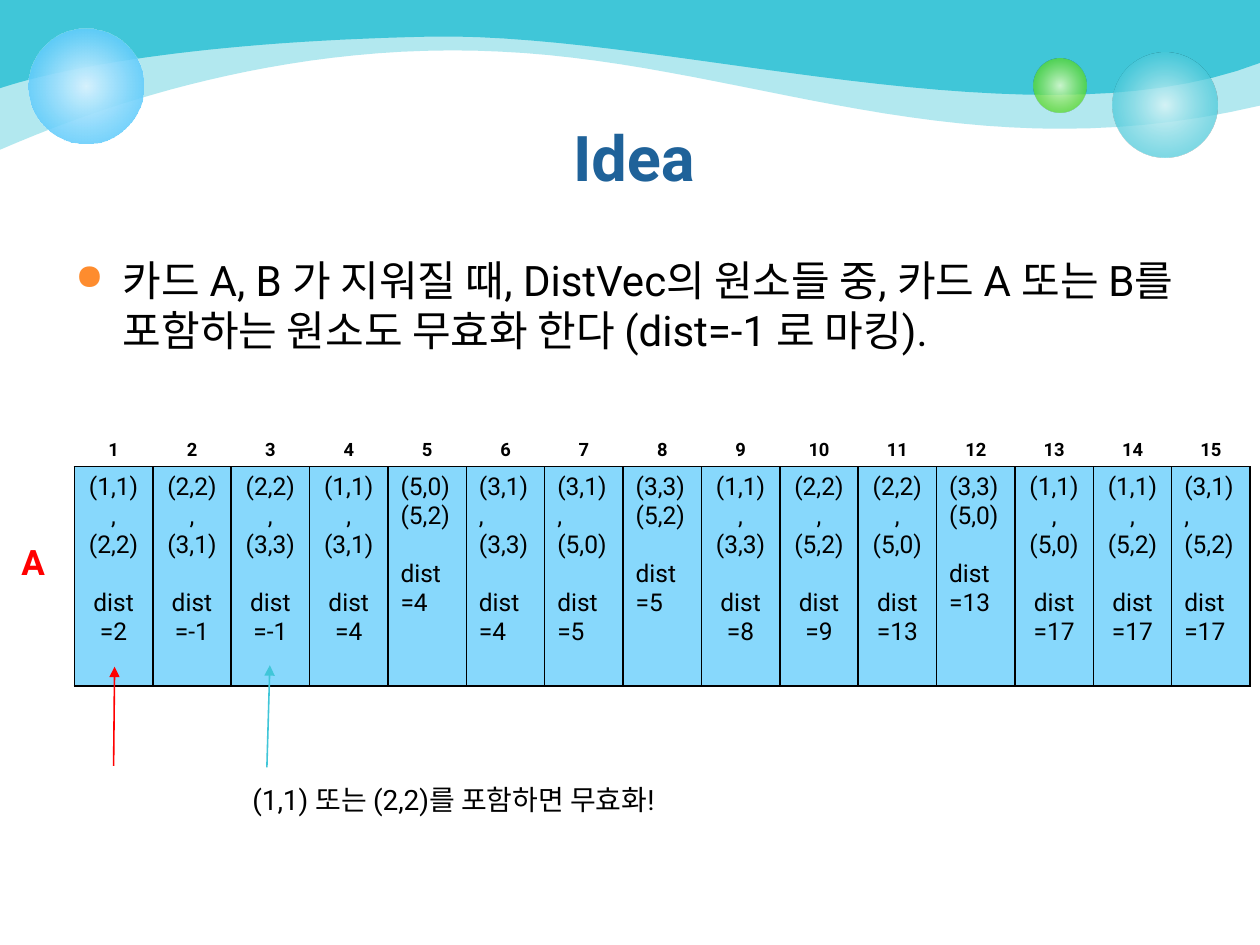
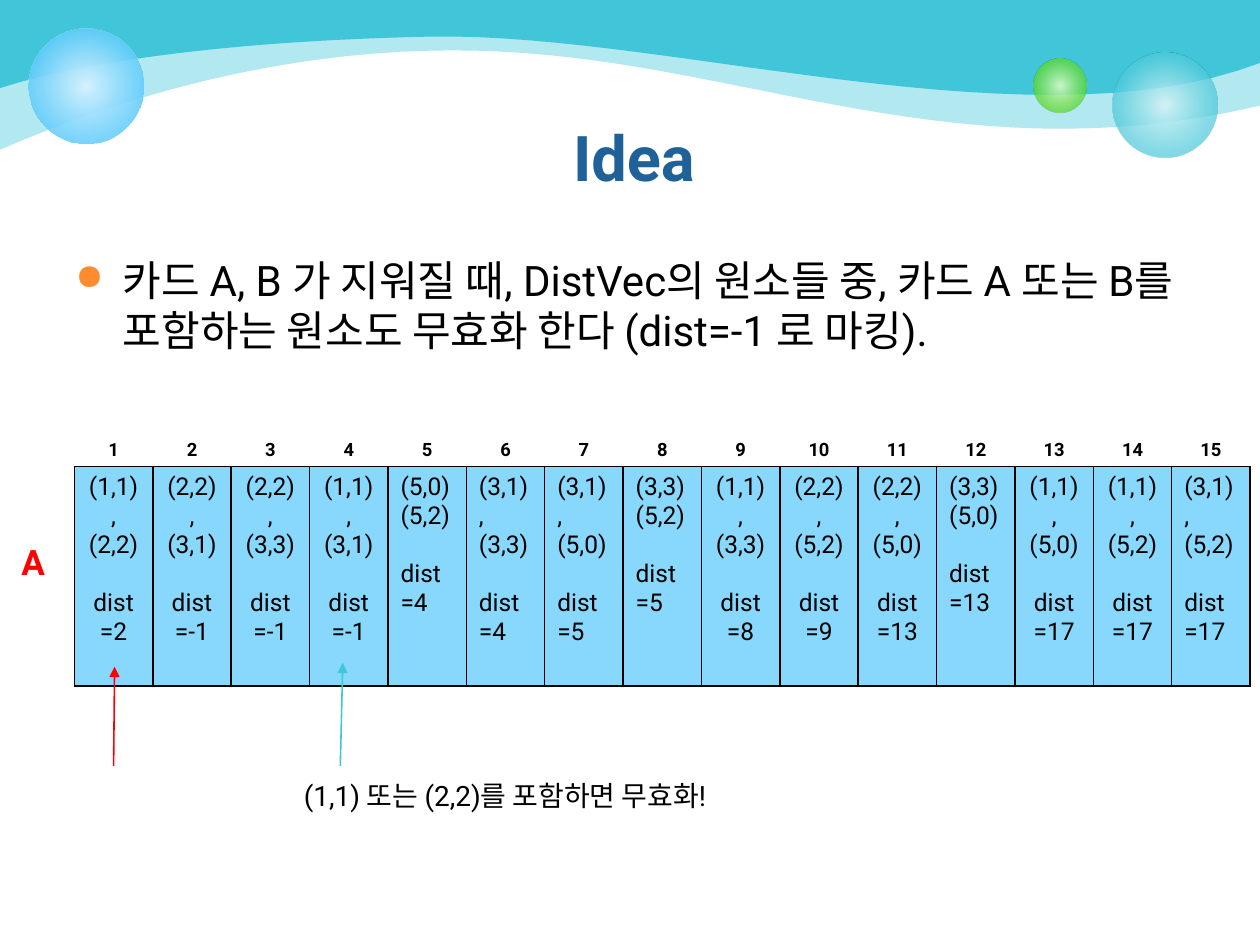
from lxml import etree
from pptx import Presentation
from pptx.dml.color import RGBColor
from pptx.enum.shapes import MSO_CONNECTOR, MSO_SHAPE
from pptx.enum.text import MSO_ANCHOR, PP_ALIGN
from pptx.oxml import parse_xml
from pptx.oxml.ns import nsdecls, qn
from pptx.util import Cm, Pt

STRAIGHT = MSO_CONNECTOR.STRAIGHT
OVAL = MSO_SHAPE.OVAL
BOTTOM = MSO_ANCHOR.BOTTOM
LEFT, CENTER = PP_ALIGN.LEFT, PP_ALIGN.CENTER

FONT = "Roboto"
WHITE = RGBColor(0xFF, 0xFF, 0xFF)
BLACK = RGBColor(0, 0, 0)
RED = RGBColor(0xFF, 0, 0)
NAVY = RGBColor(0x1F, 0x62, 0x99)
ORANGE = RGBColor(0xFE, 0x8C, 0x2E)
TEAL = RGBColor(0x40, 0xC6, 0xD8)
PALE_TEAL = RGBColor(0xD9, 0xF4, 0xF7)
GREEN = RGBColor(0x4C, 0xD4, 0x16)
PALE_GREEN = RGBColor(0xDA, 0xFA, 0xCD)
SKY = RGBColor(0x33, 0xBD, 0xFB)
PALE_SKY = RGBColor(0xD6, 0xF2, 0xFE)

BACK_WAVE = [(0, 3.02), (0.84, 2.67), (5, 0.79), (10.06, 1.04),
             (15.11, 1.27), (19.35, 3.56), (25.4, 2.13)]
FRONT_WAVE = [(0, 1.78), (1.14, 1.4), (3.89, 0.84), (8.66, 0.74),
              (13.44, 0.64), (20.83, 3.02), (25.4, 1.27)]
CURVE_STEPS = 30

RULE = ("카드 A, B 가 지워질 때, DistVec의 원소들 중, 카드 A 또는 B를 "
        "포함하는 원소도 무효화 한다 (dist=-1 로 마킹).")
CAPTION = "(1,1) 또는 (2,2)를 포함하면 무효화!"
CARD_PAIRS = [
    ("(1,1),", "(2,2)", 2), ("(2,2),", "(3,1)", -1), ("(2,2),", "(3,3)", -1),
    ("(1,1),", "(3,1)", 4), ("(5,0)", "(5,2)", 4), ("(3,1),", "(3,3)", 4),
    ("(3,1),", "(5,0)", 5), ("(3,3)", "(5,2)", 5), ("(1,1),", "(3,3)", 8),
    ("(2,2),", "(5,2)", 9), ("(2,2),", "(5,0)", 13), ("(3,3)", "(5,0)", 13),
    ("(1,1),", "(5,0)", 17), ("(1,1),", "(5,2)", 17), ("(3,1),", "(5,2)", 17),
]
REMOVED_CARDS = ("(1,1)", "(2,2)")
COLUMN_WIDTH, HEADER_HEIGHT, BODY_HEIGHT = 1.58, 0.7, 4.42


def write_text(text_frame, text, size=14, color=BLACK, bold=False,
               align=LEFT, before=0):
    paragraph = text_frame.paragraphs[-1]
    if paragraph.runs:
        paragraph = text_frame.add_paragraph()
    paragraph.alignment = align
    paragraph.space_before = Pt(before)
    run = paragraph.add_run()
    run.text = text
    font = run.font
    font.name, font.size, font.bold = FONT, Pt(size), bold
    font.color.rgb = color
    return paragraph


def add_text(slide, box, text, **text_format):
    shape = slide.shapes.add_textbox(*map(Cm, box))
    shape.text_frame.word_wrap = True
    return write_text(shape.text_frame, text, **text_format)


def add_bullet(paragraph, indent):
    properties = paragraph._p.get_or_add_pPr()
    properties.set("marL", str(Cm(indent)))
    properties.set("indent", str(-Cm(indent)))
    color = etree.SubElement(properties, qn("a:buClr"))
    etree.SubElement(color, qn("a:srgbClr"), val=str(ORANGE))
    etree.SubElement(properties, qn("a:buSzPct"), val="85000")
    etree.SubElement(properties, qn("a:buChar"), char="●")


def set_opacity(properties, percent):
    color = properties.find(f"{qn('a:solidFill')}/{qn('a:srgbClr')}")
    etree.SubElement(color, qn("a:alpha"), val=str(percent * 1000))


def curve_points(anchors):
    points = [anchors[0]]
    for start in range(0, len(anchors) - 1, 3):
        corners = anchors[start:start + 4]
        for step in range(1, CURVE_STEPS + 1):
            t = step / CURVE_STEPS
            weights = ((1 - t) ** 3, 3 * t * (1 - t) ** 2, 3 * t * t * (1 - t), t ** 3)
            points.append(tuple(sum(weight * corner[axis] for weight, corner
                                    in zip(weights, corners)) for axis in (0, 1)))
    return points


def add_wave(slide, anchors, opacity=100):
    builder = slide.shapes.build_freeform(0, 0)
    outline = curve_points(anchors) + [(25.4, 0)]
    builder.add_line_segments([(Cm(x), Cm(y)) for x, y in outline], close=True)
    shape = builder.convert_to_shape()
    shape.shadow.inherit = False
    shape.fill.solid()
    shape.fill.fore_color.rgb = TEAL
    set_opacity(shape._element.spPr, opacity)
    shape.line.fill.background()


def add_bubble(slide, left, top, diameter, *stops):
    shape = slide.shapes.add_shape(OVAL, Cm(left), Cm(top), Cm(diameter), Cm(diameter))
    shape.shadow.inherit = False
    shape.line.fill.background()
    shape.fill.background()
    stop_xml = "".join(
        f'<a:gs pos="{position * 1000}"><a:srgbClr val="{color}">'
        f'<a:alpha val="{opacity * 1000}"/></a:srgbClr></a:gs>'
        for position, color, opacity in stops)
    gradient = parse_xml(
        f'<a:gradFill {nsdecls("a")} rotWithShape="1"><a:gsLst>{stop_xml}</a:gsLst>'
        '<a:path path="circle"><a:fillToRect l="50000" t="50000" r="50000" b="50000"/>'
        '</a:path></a:gradFill>')
    properties = shape._element.spPr
    properties.replace(properties.find(qn("a:noFill")), gradient)


def add_arrow(slide, start, end, color):
    connector = slide.shapes.add_connector(STRAIGHT, *map(Cm, (*start, *end)))
    connector.line.color.rgb = color
    connector.line.width = Pt(0.9)
    etree.SubElement(connector.line._get_or_add_ln(), qn("a:tailEnd"), type="triangle")
    etree.SubElement(connector._element.spPr, qn("a:effectLst"))


def format_cell(cell, fill, side_color, opacity=100):
    properties = cell._tc.get_or_add_tcPr()
    borders = {"lnL": side_color, "lnR": side_color, "lnT": side_color, "lnB": BLACK}
    for side, color in borders.items():
        line = etree.SubElement(properties, qn(f"a:{side}"), w=str(Pt(1)))
        solid = etree.SubElement(line, qn("a:solidFill"))
        etree.SubElement(solid, qn("a:srgbClr"), val=str(color))
    cell.fill.solid()
    cell.fill.fore_color.rgb = fill
    set_opacity(properties, opacity)


def add_distance_table(slide, last_invalid):
    count = len(CARD_PAIRS)
    frame = slide.shapes.add_table(2, count, Cm(1.5), Cm(8.71), Cm(count * COLUMN_WIDTH),
                                   Cm(HEADER_HEIGHT + BODY_HEIGHT))
    table = frame.table
    table.first_row = table.horz_banding = False
    table.rows[0].height, table.rows[1].height = Cm(HEADER_HEIGHT), Cm(BODY_HEIGHT)
    for index, (first, second, distance) in enumerate(CARD_PAIRS):
        number = index + 1
        table.columns[index].width = Cm(COLUMN_WIDTH)
        header, body = table.cell(0, index), table.cell(1, index)
        format_cell(header, WHITE, WHITE)
        header.vertical_anchor = BOTTOM
        write_text(header.text_frame, str(number), size=10.5, bold=True, align=CENTER)
        format_cell(body, SKY, BLACK, 59)
        align = CENTER if first.startswith(REMOVED_CARDS) else LEFT
        if 2 <= number <= last_invalid:
            distance = -1
        write_text(body.text_frame, first, align=align)
        write_text(body.text_frame, second, align=align)
        write_text(body.text_frame, f"dist={distance}", align=align, before=16.6)


def add_background(slide):
    add_wave(slide, BACK_WAVE, 40)
    add_wave(slide, FRONT_WAVE)
    add_bubble(slide, 22.43, 1.07, 2.11, (0, PALE_TEAL, 90), (76, TEAL, 70))
    add_bubble(slide, 20.83, 1.19, 1.07, (0, PALE_GREEN, 90), (76, GREEN, 70))
    add_bubble(slide, 0.58, 0.58, 2.31, (0, PALE_SKY, 100), (100, SKY, 80))


def add_idea_slide(presentation, last_invalid, arrow_start, arrow_end, caption_corner):
    slide = presentation.slides.add_slide(presentation.slide_layouts[6])
    add_background(slide)
    add_text(slide, (1.35, 2.26, 22.86, 3.18), "Idea",
             size=36, color=NAVY, bold=True, align=CENTER)
    rule = add_text(slide, (1.27, 5, 23.42, 5.97), RULE, size=24, before=4.8)
    add_bullet(rule, 0.96)
    add_text(slide, (0.18, 10.77, 1.09, 1.12), "A", size=20, color=RED, bold=True)
    add_distance_table(slide, last_invalid)
    add_arrow(slide, arrow_start, arrow_end, TEAL)
    add_text(slide, (*caption_corner, 9.6, 0.94), CAPTION, size=16, align=CENTER)
    add_arrow(slide, (2.29, 15.44), (2.31, 13.44), RED)


def main():
    presentation = Presentation()
    presentation.slide_width, presentation.slide_height = Cm(25.4), Cm(19.05)
    add_idea_slide(presentation, 3, (5.38, 15.47), (5.44, 13.41), (4.34, 15.65))
    add_idea_slide(presentation, 4, (6.86, 15.44), (6.91, 13.36), (5.38, 15.57))
    presentation.save("out.pptx")


if __name__ == "__main__":
    main()
